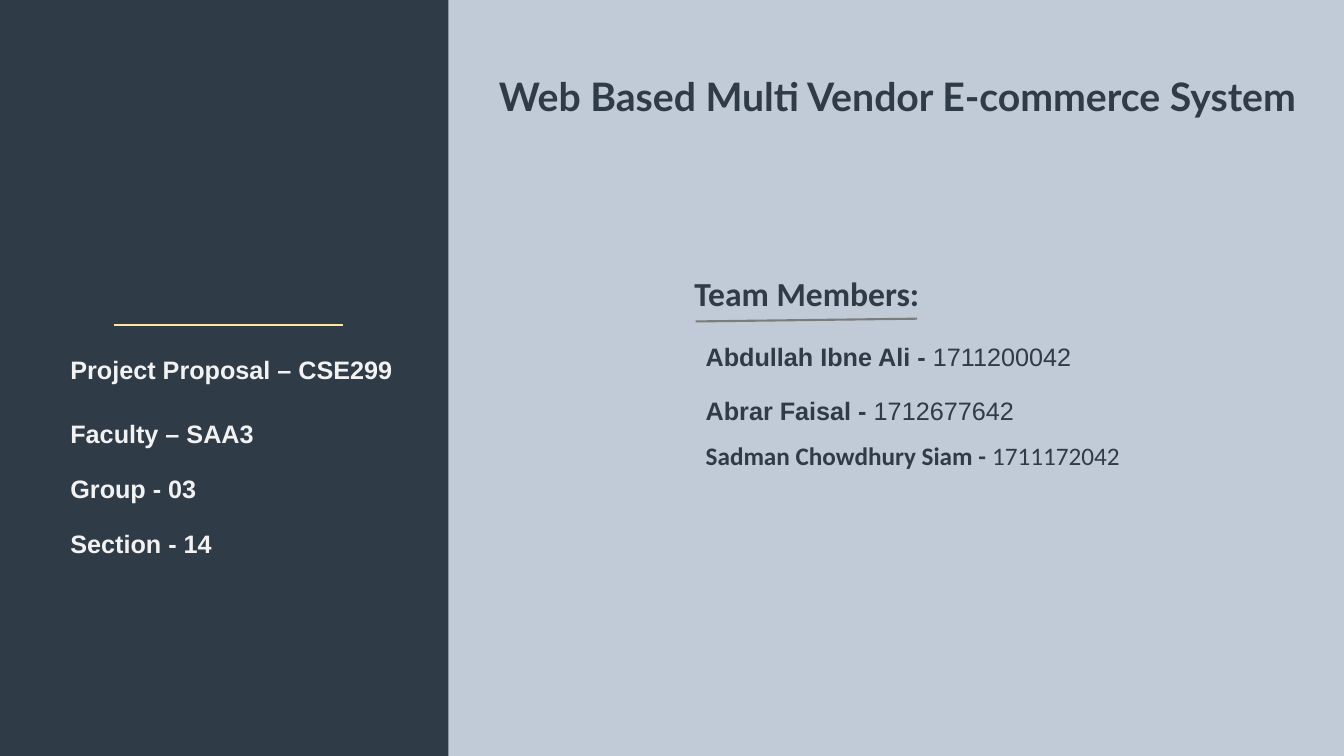
"""Build the cover slide of a project proposal."""
from lxml.etree import SubElement
from pptx import Presentation
from pptx.dml.color import RGBColor as Rgb
from pptx.enum.shapes import MSO_CONNECTOR as Link, MSO_SHAPE as Form
from pptx.enum.text import MSO_ANCHOR as Anchor, MSO_AUTO_SIZE as Fit, PP_ALIGN as Align
from pptx.oxml.ns import qn
from pptx.util import Cm, Pt

HUES = {"navy": "303B48", "mist": "C0CBD7", "white": "F2F2F2",
        "gray": "7C7C7C", "gold": "FFE699"}


def place(shape, left, top, width, height):
    """Set the box of a text shape and return its frame."""
    shape.left, shape.top = Cm(left), Cm(top)
    shape.width, shape.height = Cm(width), Cm(height)
    frame = shape.text_frame
    frame.word_wrap = True
    frame.auto_size = Fit.NONE
    frame.vertical_anchor = Anchor.TOP
    return frame


def write(par, label, size, font, hue, gap=0, number=""):
    """Fill a paragraph with a bold label and an optional plain number."""
    par.text = label
    if number:
        par.add_run().text = number
    par.alignment = Align.LEFT
    par.line_spacing = 1.0
    par.space_before = Pt(gap)
    props = par._p.get_or_add_pPr()
    props.set("marL", "0")
    props.set("indent", "0")
    SubElement(props, qn("a:buNone"))
    for pos, run in enumerate(par.runs):
        run.font.size = Pt(size)
        run.font.name = font
        run.font.bold = pos == 0
        run.font.color.rgb = Rgb.from_string(HUES[hue])


deck = Presentation()
deck.slide_width, deck.slide_height = Cm(33.87), Cm(19.05)
slide = deck.slides.add_slide(deck.slide_layouts[3])
shapes = slide.shapes
title, facts, team = slide.placeholders

back = slide.background.fill
back.solid()
back.fore_color.rgb = Rgb.from_string(HUES["navy"])

panel = shapes.add_shape(Form.RECTANGLE, Cm(11.3), 0, Cm(22.57), Cm(19.05))
panel.shadow.inherit = False
panel.fill.solid()
panel.fill.fore_color.rgb = Rgb.from_string(HUES["mist"])
panel.line.fill.background()
title.element.addprevious(panel.element)

frame = place(title, 12.32, 1.7, 20.8, 1.45)
write(frame.paragraphs[0], "Web Based Multi Vendor E-commerce System", 28, "Lato", "navy")

head = shapes.add_textbox(0, 0, 0, 0)
frame = place(head, 17.25, 6.76, 10.8, 1.27)
write(frame.paragraphs[0], "Team Members:", 24, "Calibri", "navy")

lines = [("Project Proposal – CSE299", 0), ("Faculty – SAA3", 24),
         ("Group - 03", 17.5), ("Section - 14", 18)]
frame = place(facts, 1.52, 8.81, 10.8, 5.31)
frame.text = "\n" * (len(lines) - 1)
for par, (label, gap) in zip(frame.paragraphs, lines):
    write(par, label, 18, "Arial", "white", gap)

members = [("Abdullah Ibne Ali - ", "1711200042", "Arial", 0),
           ("Abrar Faisal - ", "1712677642", "Arial", 17),
           ("Sadman Chowdhury Siam - ", "1711172042", "Calibri", 10)]
frame = place(team, 17.53, 8.48, 11.43, 3.43)
frame.text = "\n" * (len(members) - 1)
for par, (name, number, font, gap) in zip(frame.paragraphs, members):
    write(par, name, 18, font, "navy", gap, number)

rules = [(17.53, 8.1, 23.11, 8.03, "gray"), (2.87, 8.18, 8.64, 8.18, "gold")]
for left, top, right, end, hue in rules:
    rule = shapes.add_connector(Link.STRAIGHT, Cm(left), Cm(top), Cm(right), Cm(end))
    rule.line.width = Pt(1.5)
    rule.line.color.rgb = Rgb.from_string(HUES[hue])
    SubElement(rule.element.spPr, qn("a:effectLst"))

deck.save("out.pptx")
